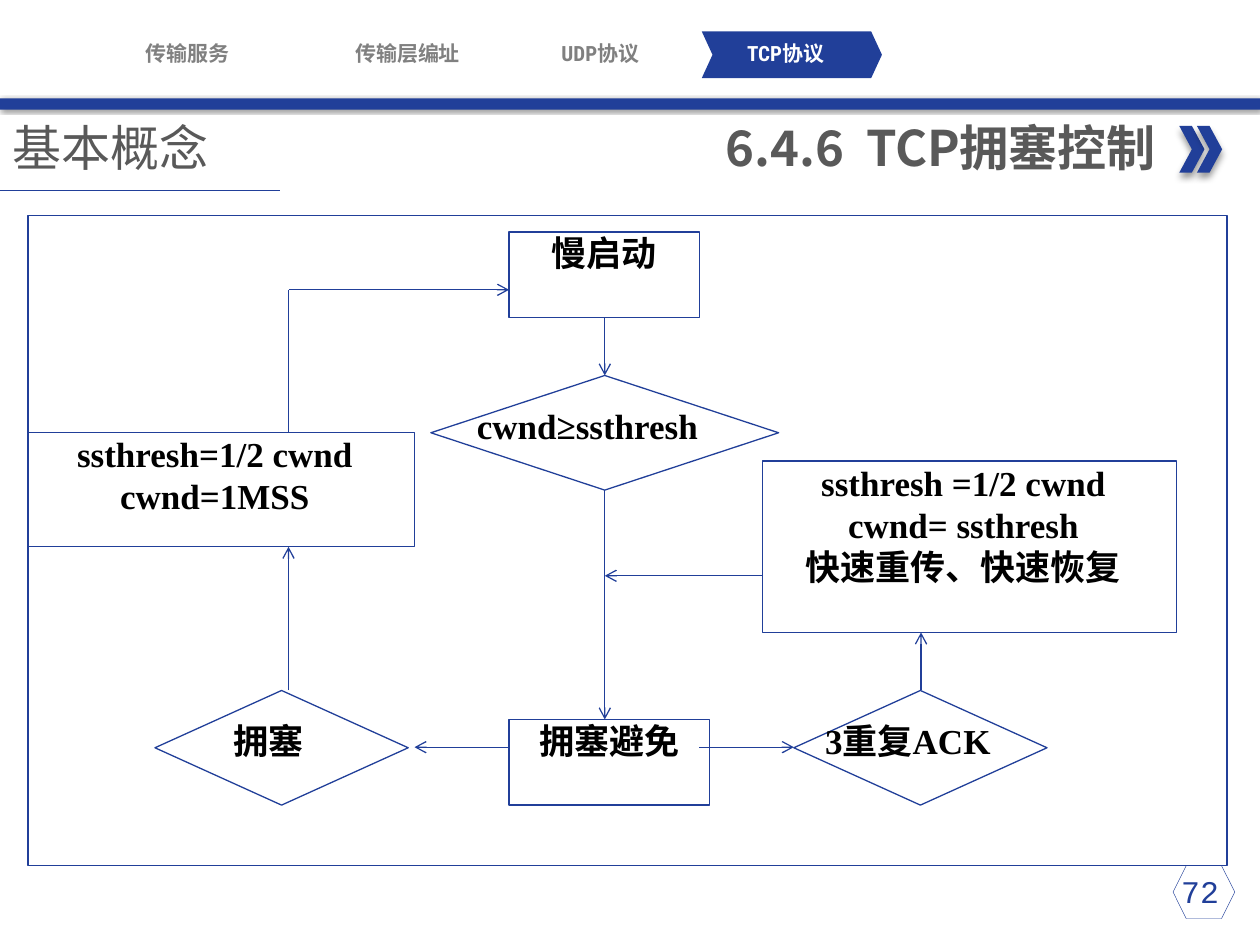
from dataclasses import dataclass

from lxml.etree import SubElement
from pptx import Presentation
from pptx.dml.color import RGBColor
from pptx.enum.shapes import MSO_CONNECTOR, MSO_SHAPE
from pptx.enum.text import MSO_ANCHOR, PP_ALIGN
from pptx.oxml.ns import qn
from pptx.util import Inches, Pt

COLORS = {"blue": "213F99", "title": "595959", "tab": "808080",
          "white": "FFFFFF", "black": "000000"}
CJK_FONT = "Noto Sans CJK SC"
NO_INSETS = (0, 0, 0, 0)
BOX_INSETS = (0.1, 0, 0.1, 0)
WIDE_INSETS = (0, 0, 0.1, 0)
TEXT_INSETS = (0.1, 0.05, 0.1, 0.05)


@dataclass
class Style:
    font: str
    size: float
    color: str
    bold: bool = True
    align: PP_ALIGN = PP_ALIGN.CENTER
    anchor: MSO_ANCHOR = MSO_ANCHOR.TOP
    insets: tuple = TEXT_INSETS


@dataclass
class Node:
    kind: MSO_SHAPE
    at: tuple
    text: str
    insets: tuple = BOX_INSETS


@dataclass
class Arrow:
    start: tuple
    end: tuple
    head: bool = True


FLOW = Style("Times New Roman", 20, "black", insets=BOX_INSETS)
WIDE_FLOW = Style("Times New Roman", 20, "black", insets=WIDE_INSETS)
TITLE = Style(CJK_FONT, 28, "title", align=PP_ALIGN.RIGHT)
SUBTITLE = Style(CJK_FONT, 28, "title", False, PP_ALIGN.LEFT, MSO_ANCHOR.MIDDLE)
NUMBER = Style("Courier New", 18, "blue", False)

TABS = [(0.76, "传输服务"), (2.51, "传输层编址"), (4.04, "UDP协议"), (5.51, "TCP协议")]
ACTIVE_TAB = "TCP协议"

NODES = [
    Node(MSO_SHAPE.RECTANGLE, (4.04, 1.84, 1.51, 0.68), "慢启动"),
    Node(MSO_SHAPE.RECTANGLE, (4.04, 5.71, 1.59, 0.68), "拥塞避免"),
    Node(MSO_SHAPE.FLOWCHART_DECISION, (3.42, 2.98, 2.76, 0.91), "cwnd≥ssthresh"),
    Node(MSO_SHAPE.FLOWCHART_DECISION, (1.23, 5.48, 2.01, 0.91), "拥塞"),
    Node(MSO_SHAPE.FLOWCHART_DECISION, (6.3, 5.48, 2.01, 0.91), "3重复ACK"),
    Node(MSO_SHAPE.RECTANGLE, (0.22, 3.43, 3.07, 0.91),
         "ssthresh=1/2 cwnd\ncwnd=1MSS", WIDE_INSETS),
    Node(MSO_SHAPE.RECTANGLE, (6.05, 3.66, 3.29, 1.36),
         "ssthresh =1/2 cwnd\ncwnd= ssthresh\n快速重传、快速恢复", WIDE_INSETS),
]

ARROWS = [
    Arrow((4.8, 2.52), (4.8, 2.98)),
    Arrow((4.8, 3.89), (4.8, 5.71)),
    Arrow((5.55, 5.93), (6.3, 5.93)),
    Arrow((7.31, 5.48), (7.31, 5.02)),
    Arrow((6.05, 4.57), (4.8, 4.57)),
    Arrow((4.04, 5.93), (3.29, 5.93)),
    Arrow((2.29, 5.48), (2.29, 4.34)),
    Arrow((2.29, 3.43), (2.29, 2.3), head=False),
    Arrow((2.29, 2.3), (4.04, 2.3)),
]


def rgb(name: str) -> RGBColor:
    return RGBColor.from_string(COLORS[name])


def write(shape, text: str, style: Style) -> None:
    frame = shape.text_frame
    left, top, right, bottom = map(Inches, style.insets)
    frame_format = {"word_wrap": True, "vertical_anchor": style.anchor,
                    "margin_left": left, "margin_top": top,
                    "margin_right": right, "margin_bottom": bottom}
    for name, value in frame_format.items():
        setattr(frame, name, value)
    frame.text = text
    font_format = {"name": style.font, "size": Pt(style.size), "bold": style.bold}
    for paragraph in frame.paragraphs:
        paragraph.alignment = style.align
        for run in paragraph.runs:
            for name, value in font_format.items():
                setattr(run.font, name, value)
            run.font.color.rgb = rgb(style.color)
            SubElement(run.font._element, qn("a:ea"), typeface=CJK_FONT)


def add_text(slide, at: tuple, text: str, style: Style) -> None:
    write(slide.shapes.add_textbox(*map(Inches, at)), text, style)


def add_shape(slide, kind: MSO_SHAPE, at: tuple, line_width: float = 0):
    """Outlined shape when a line width is given, otherwise a solid one."""
    shape = slide.shapes.add_shape(kind, *map(Inches, at))
    shape.shadow.inherit = False
    if line_width:
        shape.fill.background()
        shape.line.color.rgb = rgb("blue")
        shape.line.width = Pt(line_width)
    else:
        shape.fill.solid()
        shape.fill.fore_color.rgb = rgb("blue")
        shape.line.fill.background()
    return shape


def add_shadow(shape, blur: float, distance: float, angle: int) -> None:
    effects = shape._element.spPr.find(qn("a:effectLst"))
    shadow = SubElement(effects, qn("a:outerShdw"), blurRad=str(Pt(blur)),
                        dist=str(Pt(distance)), dir=str(angle * 60000),
                        algn="t", rotWithShape="0")
    color = SubElement(shadow, qn("a:srgbClr"), val=COLORS["black"])
    SubElement(color, qn("a:alpha"), val="40000")


def add_line(slide, arrow: Arrow, width: float) -> None:
    line = slide.shapes.add_connector(
        MSO_CONNECTOR.STRAIGHT, *map(Inches, arrow.start + arrow.end))
    line.line.color.rgb = rgb("blue")
    line.line.width = Pt(width)
    if arrow.head:
        SubElement(line.line._get_or_add_ln(), qn("a:tailEnd"), type="arrow")
    SubElement(line._element.spPr, qn("a:effectLst"))


def add_header(slide) -> None:
    # Page number
    add_shape(slide, MSO_SHAPE.HEXAGON, (9.31, 6.87, 0.49, 0.42), 0.25)
    add_text(slide, (9.09, 6.87, 0.87, 0.4), "72", NUMBER)

    # Divider bar and double chevron
    bar = add_shape(slide, MSO_SHAPE.RECTANGLE, (0, 0.78, 10, 0.09))
    add_shadow(bar, 2, 1, 45)
    for left in (9.36, 9.5):
        chevron = add_shape(slide, MSO_SHAPE.CHEVRON, (left, 1, 0.2, 0.37))
        add_shadow(chevron, 4, 3, 90)

    # Titles
    add_text(slide, (0.76, 0.88, 8.51, 0.57), "6.4.6  TCP拥塞控制", TITLE)
    add_text(slide, (0, 0.92, 2.59, 0.49), "基本概念", SUBTITLE)
    add_line(slide, Arrow((0, 1.51), (2.22, 1.51), head=False), 0.5)

    # Navigation tabs
    marker = add_shape(slide, MSO_SHAPE.CHEVRON, (5.57, 0.25, 1.43, 0.37))
    marker.adjustments[0] = 0.23
    for left, text in TABS:
        color = "white" if text == ACTIVE_TAB else "tab"
        style = Style("Roboto Condensed", 12, color,
                      anchor=MSO_ANCHOR.MIDDLE, insets=NO_INSETS)
        add_text(slide, (left, 0.32, 1.45, 0.2), text, style)


def add_node(slide, node: Node) -> None:
    shape = add_shape(slide, node.kind, node.at, 0.75)
    if node.kind == MSO_SHAPE.FLOWCHART_DECISION:
        # Decision labels sit in the middle half, clear of the right tip
        left, top, width, height = node.at
        label_at = (left, top + height / 4, width * 0.9, height / 2)
        add_text(slide, label_at, node.text, FLOW)
    else:
        write(shape, node.text, WIDE_FLOW if node.insets == WIDE_INSETS else FLOW)


def main() -> None:
    presentation = Presentation()
    presentation.slide_width = Inches(10)
    presentation.slide_height = Inches(7.5)
    slide = presentation.slides.add_slide(presentation.slide_layouts[6])

    add_header(slide)

    # Congestion control flowchart
    for node in NODES:
        add_node(slide, node)
    for arrow in ARROWS:
        add_line(slide, arrow, 0.75)
    add_shape(slide, MSO_SHAPE.RECTANGLE, (0.22, 1.71, 9.52, 5.16), 1)

    presentation.save("out.pptx")


if __name__ == "__main__":
    main()
